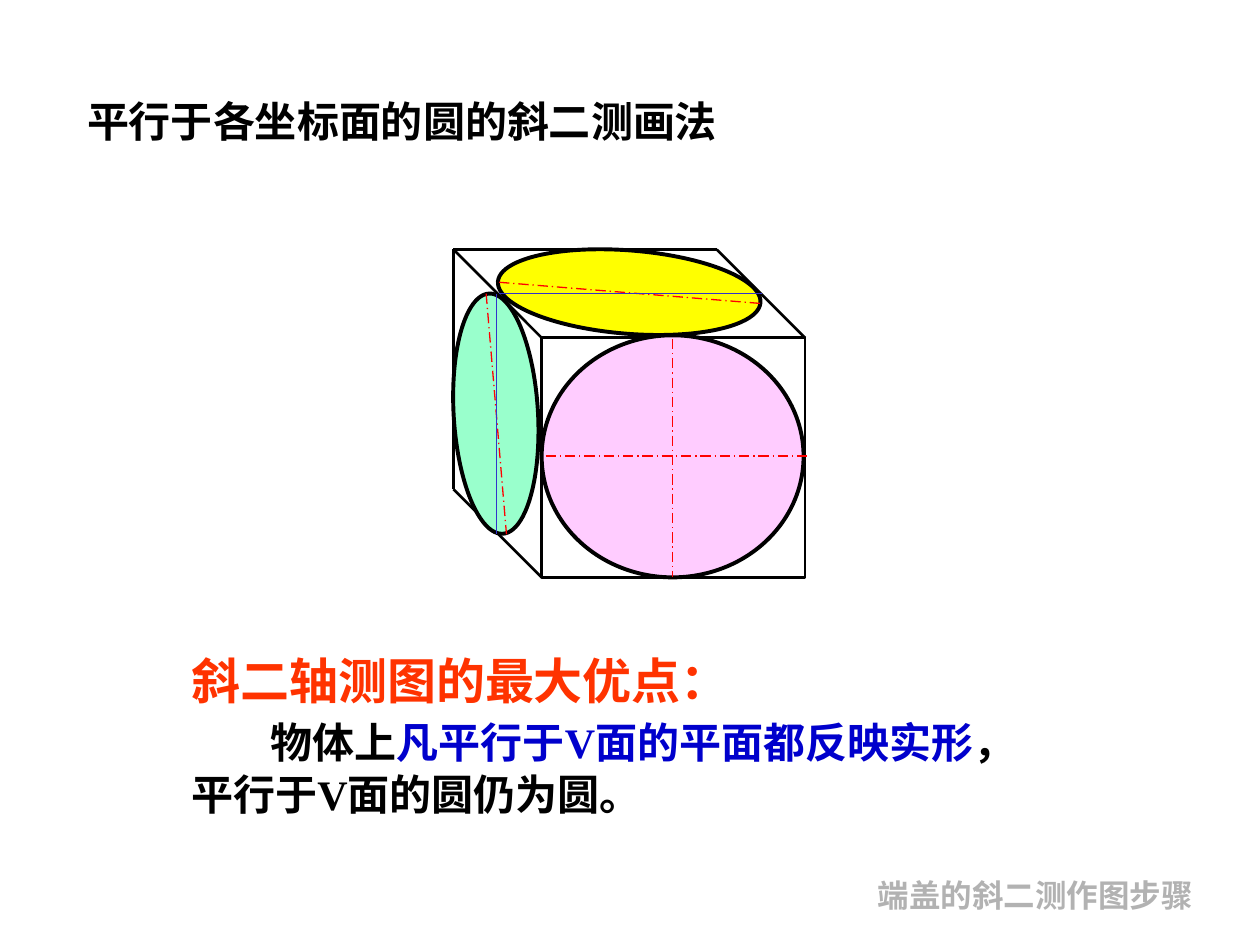
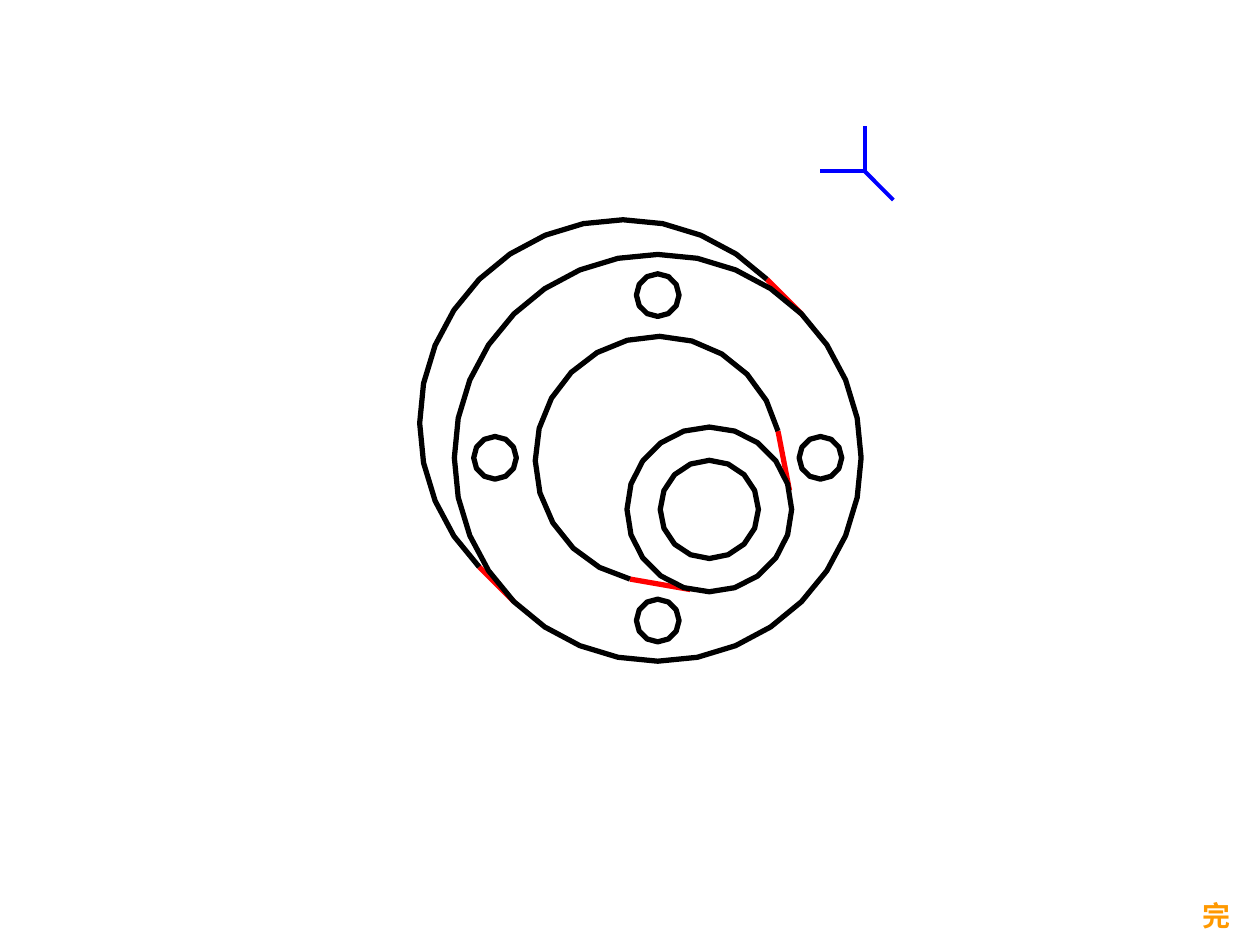
"""Draw oblique dimetric circles on a cube and the outline of an end cap."""
from dataclasses import dataclass
from math import cos, radians, sin

from lxml import etree
from pptx import Presentation
from pptx.dml.color import RGBColor
from pptx.enum.dml import MSO_LINE
from pptx.enum.shapes import MSO_CONNECTOR, MSO_SHAPE
from pptx.enum.text import MSO_ANCHOR, MSO_AUTO_SIZE, PP_ALIGN
from pptx.oxml.ns import qn
from pptx.util import Cm, Pt

RECT, OVAL = MSO_SHAPE.RECTANGLE, MSO_SHAPE.OVAL
STRAIGHT = MSO_CONNECTOR.STRAIGHT
DASH = MSO_LINE.LONG_DASH_DOT
MIDDLE, TOP = MSO_ANCHOR.MIDDLE, MSO_ANCHOR.TOP
LEFT, CENTER = PP_ALIGN.LEFT, PP_ALIGN.CENTER
FIXED = MSO_AUTO_SIZE.NONE

SANS, SERIF = "Noto Sans CJK SC", "Times New Roman"
HUES = {
    "black": "000000", "red": "FF0000", "blue": "0000FF", "slate": "3333CC",
    "mint": "99FFCC", "yellow": "FFFF00", "pink": "FFCCFF",
    "head": "FF3300", "key": "0000CC", "gray": "B2B2B2", "end": "FF9900",
}
Point = tuple[float, float]


@dataclass
class Box:
    """Place and size in centimetres."""
    left: float
    top: float
    width: float
    height: float

    def emu(self) -> tuple:
        """Give the four lengths for a shape call."""
        return Cm(self.left), Cm(self.top), Cm(self.width), Cm(self.height)


@dataclass
class Edge:
    """A straight line with its look."""
    start: Point
    end: Point
    hue: str = "black"
    width: float = 1.5
    dash: bool = False


@dataclass
class Disc:
    """An ellipse on one face of the cube, with its centre lines."""
    box: Box
    turn: float
    hue: str
    axes: list[Edge]


@dataclass
class Ring:
    """An arc drawn as equal chords, in degrees from the right."""
    mid: Point
    radius: float
    steps: int
    first: float = 0
    last: float = 360

    def point(self, angle: float) -> Point:
        """Give the point of the ring at an angle."""
        turn = radians(angle)
        return (self.mid[0] + self.radius * cos(turn),
                self.mid[1] - self.radius * sin(turn))


@dataclass
class Run:
    """A piece of bold text."""
    text: str
    size: float
    hue: str
    font: str = SERIF


def color(hue: str) -> RGBColor:
    """Look up a colour."""
    return RGBColor.from_string(HUES[hue])


def shift(spot: Point, right: float, down: float) -> Point:
    """Move a point."""
    return spot[0] + right, spot[1] + down


def stroke(shape, hue: str, width: float) -> None:
    """Set the outline of a shape or line."""
    shape.line.color.rgb = color(hue)
    shape.line.width = Pt(width)


def draw_edge(slide, edge: Edge) -> None:
    """Draw a straight line without a shadow."""
    ends = [Cm(v) for v in (*edge.start, *edge.end)]
    line = slide.shapes.add_connector(STRAIGHT, *ends)
    stroke(line, edge.hue, edge.width)
    if edge.dash:
        line.line.dash_style = DASH
    etree.SubElement(line._element.spPr, qn("a:effectLst"))


def draw_shape(slide, kind, box: Box, width: float, hue: str = ""):
    """Draw an outlined preset shape, filled when a hue is given."""
    shape = slide.shapes.add_shape(kind, *box.emu())
    shape.shadow.inherit = False
    stroke(shape, "black", width)
    if hue:
        shape.fill.solid()
        shape.fill.fore_color.rgb = color(hue)
    else:
        shape.fill.background()
    return shape


def draw_disc(slide, disc: Disc) -> None:
    """Draw a turned ellipse and its centre lines."""
    draw_shape(slide, OVAL, disc.box, 2.25, disc.hue).rotation = disc.turn
    for axis in disc.axes:
        draw_edge(slide, axis)


def draw_ring(slide, ring: Ring) -> None:
    """Draw a ring as a chain of chords."""
    full = ring.last - ring.first == 360
    step = (ring.last - ring.first) / ring.steps
    count = ring.steps if full else ring.steps + 1
    spots = [tuple(Cm(v) for v in ring.point(ring.first + i * step))
             for i in range(count)]
    path = slide.shapes.build_freeform(*spots[0])
    path.add_line_segments(spots[1:], close=full)
    shape = path.convert_to_shape()
    shape.shadow.inherit = False
    shape.fill.background()
    stroke(shape, "black", 3)


def add_runs(para, runs: list[Run]) -> None:
    """Fill a paragraph run by run."""
    for item in runs:
        run = para.add_run()
        run.text = item.text
        font = run.font
        font.size, font.bold, font.name = Pt(item.size), True, item.font
        font.color.rgb = color(item.hue)
        east = etree.SubElement(run._r.get_or_add_rPr(), qn("a:ea"))
        east.set("typeface", SANS)


def set_text(shape, lines: list[list[Run]], anchor=MIDDLE, align=LEFT,
             wrap: bool = True) -> list:
    """Write lines into a shape and return the paragraphs."""
    frame = shape.text_frame
    frame.auto_size, frame.word_wrap = FIXED, wrap
    frame.vertical_anchor = anchor
    paras = [frame.paragraphs[0]]
    paras += [frame.add_paragraph() for _ in lines[1:]]
    for para, runs in zip(paras, lines):
        para.alignment = align
        add_runs(para, runs)
    return paras


def draw_cube(slide) -> None:
    """Draw the front face and the edges behind it."""
    face, depth = Box(10.92, 6.81, 5.31, 4.83), 1.78
    draw_shape(slide, RECT, face, 1.5)
    near = (face.left, face.top)
    fronts = [near, shift(near, face.width, 0), shift(near, 0, face.height)]
    backs = [shift(spot, -depth, -depth) for spot in fronts]
    for pair in zip(backs, fronts):
        draw_edge(slide, Edge(*pair))
    for far in backs[1:]:
        draw_edge(slide, Edge(backs[0], far))


def cube_slide(deck) -> None:
    """Build the slide on circles in the three planes."""
    slide = deck.slides.add_slide(deck.slide_layouts[5])
    title = slide.shapes.title
    title.left, title.top, title.width, title.height = Box(
        1.5, 1.73, 14.81, 1.4).emu()
    set_text(title, [[Run("平行于各坐标面的圆的", 24, "black", SANS),
                      Run("斜二测", 24, "black"),
                      Run("画法", 24, "black", SANS)]])
    draw_cube(slide)
    discs = [
        Disc(Box(7.57, 7.49, 4.85, 1.7), 86.7, "mint", [
            Edge((9.8, 5.92), (10.21, 10.77), "red", 0.75, True),
            Edge((10.01, 5.92), (10.01, 10.77), "slate", 0.75)]),
        Disc(Box(10.03, 5.05, 5.31, 1.68), 4.6, "yellow", [
            Edge((10.06, 5.69), (15.37, 6.12), "red", 0.75, True),
            Edge((10.06, 5.92), (15.37, 5.92), "slate", 0.75)]),
        Disc(Box(10.92, 6.76, 5.28, 4.88), 0, "pink", [
            Edge((13.56, 6.83), (13.56, 11.63), "red", 0.75, True),
            Edge((11, 9.19), (16.31, 9.19), "red", 0.75, True)]),
    ]
    for disc in discs:
        draw_disc(slide, disc)
    note = slide.shapes.add_textbox(*Box(3.61, 12.9, 18.69, 3.66).emu())
    paras = set_text(note, [
        [Run("斜二轴测图的最大优点：", 28, "head")],
        [Run("物体上", 24, "black"),
         Run("凡平行于V面的平面都反映实形", 24, "key"),
         Run("，", 24, "black")],
        [Run("平行于V面的圆仍为圆。", 24, "black")]])
    for para, height in zip(paras, (38, 33, 30)):
        para.line_spacing = Pt(height)
    paras[1]._p.get_or_add_pPr().set("indent", str(Cm(1.6)))
    foot = slide.shapes.add_textbox(*Box(17.45, 17.53, 7.95, 1.02).emu())
    set_text(foot, [[Run("端盖的", 18, "gray"),
                     Run("斜二测作图步骤", 18, "gray", SANS)]], TOP)


def cap_slide(deck) -> None:
    """Build the slide with the finished end cap."""
    slide = deck.slides.add_slide(deck.slide_layouts[6])
    mid, reach = (13.26, 9.23), 3.28
    plate = Ring(mid, 4.1, 32)
    back = Ring(shift(mid, -0.7, -0.7), 4.1, 16, 45, 225)
    hub = Ring(shift(mid, 0.01, 0.03), 2.48, 16, 13.3, 256.7)
    boss = Ring(shift(mid, 1.04, 1.04), 1.66, 20)
    bore = Ring(boss.mid, 0.99, 16)
    holes = [Ring(shift(mid, x * reach, y * reach), 0.43, 12)
             for x, y in ((-1, 0), (1, 0), (0, 1), (0, -1))]
    for rear, front in ((back, plate), (hub, boss)):
        for angle in (rear.first, rear.last):
            draw_edge(slide, Edge(rear.point(angle), front.point(angle),
                                  "red", 3))
    for ring in (hub, boss, plate, back, bore, *holes):
        draw_ring(slide, ring)
    hinge = (17.43, 3.45)
    for right, down in ((0, -0.9), (-0.9, 0), (0.58, 0.58)):
        draw_edge(slide, Edge(hinge, shift(hinge, right, down), "blue", 2.25))
    mark = slide.shapes.add_textbox(*Box(23.98, 17.98, 1.07, 0.94).emu())
    set_text(mark, [[Run("完", 16, "end")]], align=CENTER, wrap=False)


def main() -> None:
    """Build and save the deck."""
    deck = Presentation()
    deck.slide_width, deck.slide_height = Cm(25.4), Cm(19.05)
    cube_slide(deck)
    cap_slide(deck)
    deck.save("out.pptx")


if __name__ == "__main__":
    main()
